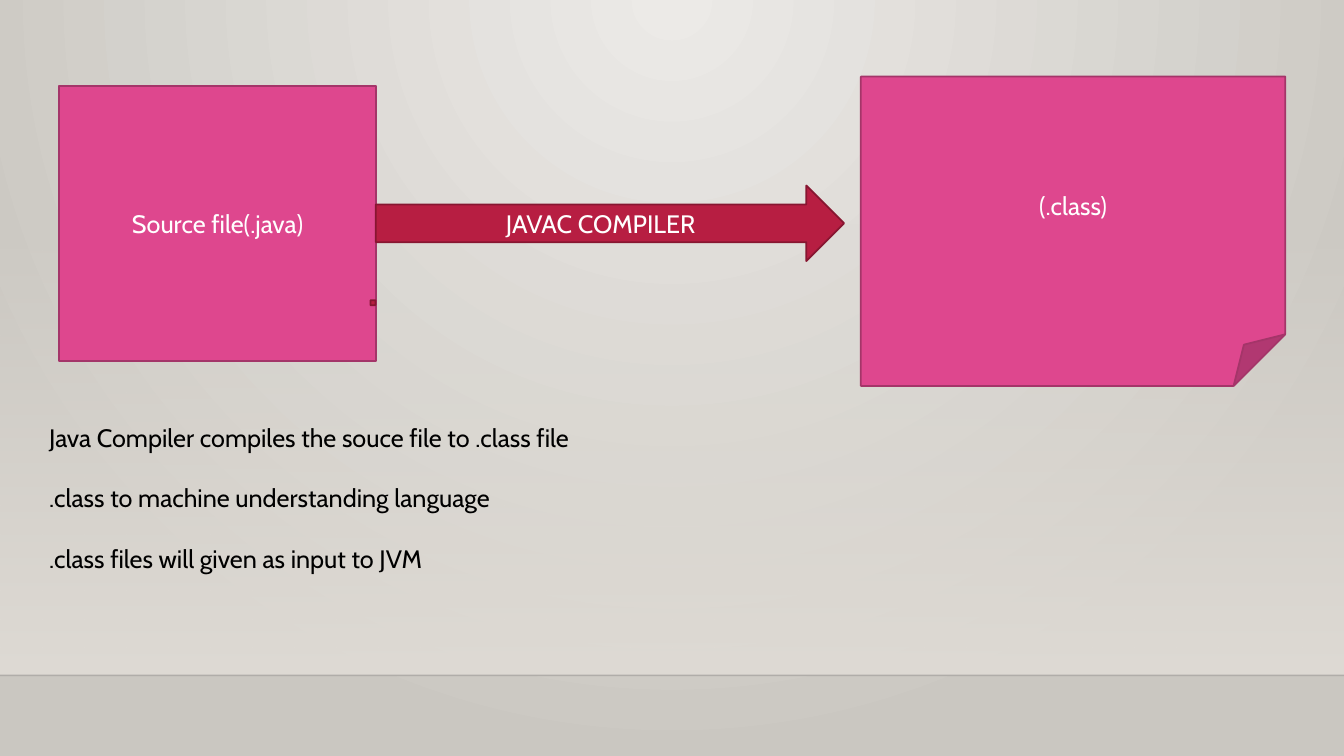
from dataclasses import dataclass

from lxml import etree
from pptx import Presentation
from pptx.dml.color import RGBColor
from pptx.enum.shapes import MSO_CONNECTOR, MSO_SHAPE
from pptx.enum.text import MSO_ANCHOR, MSO_AUTO_SIZE, PP_ALIGN
from pptx.oxml.ns import qn
from pptx.util import Pt

RECTANGLE = MSO_SHAPE.RECTANGLE
FOLDED_CORNER = MSO_SHAPE.FOLDED_CORNER
RIGHT_ARROW = MSO_SHAPE.RIGHT_ARROW
STRAIGHT = MSO_CONNECTOR.STRAIGHT
MIDDLE = MSO_ANCHOR.MIDDLE
GROW = MSO_AUTO_SIZE.SHAPE_TO_FIT_TEXT
CENTER, LEFT = PP_ALIGN.CENTER, PP_ALIGN.LEFT


@dataclass(frozen=True)
class Theme:
    font: str = "Cabin"
    text_size: int = 18
    outline: float = 1.25
    wall_light: str = "ECEAE7"
    wall_dark: str = "CAC7C1"
    haze: str = "DFDBD5"
    floor_line: str = "000001"
    pink: str = "DE478E"
    pink_edge: str = "A43569"
    red: str = "B71E42"
    red_edge: str = "871631"
    white: str = "FFFFFF"
    black: str = "000000"


theme = Theme()
WIDTH, HEIGHT = 960, 540
FLOOR = 482.4


def write(frame, lines, colour, align):
    """Fill a text frame with one paragraph per line, in the theme's type."""
    frame.word_wrap = True
    frame.text = "\n".join(lines)
    for para in frame.paragraphs:
        para.alignment = align
        for span in para.runs:
            span.font.name = theme.font
            span.font.size = Pt(theme.text_size)
            span.font.color.rgb = RGBColor.from_string(colour)


def set_gradient(fill, colours):
    """Give a fill a two-stop gradient running from top to bottom."""
    fill.gradient()
    fill.gradient_angle = 270
    for stop, colour in zip(fill.gradient_stops, colours):
        stop.color.rgb = RGBColor.from_string(colour)


deck = Presentation()
deck.slide_width, deck.slide_height = Pt(WIDTH), Pt(HEIGHT)
page = deck.slides.add_slide(deck.slide_layouts[6])

# Background: a circular glow from the top centre
set_gradient(page.background.fill, (theme.wall_light, theme.wall_dark))
linear = page._element.xpath("./p:cSld/p:bg//a:lin")[0]
glow = etree.Element(qn("a:path"), {"path": "circle"})
etree.SubElement(glow, qn("a:fillToRect"), l="43000", t="0", r="43000", b="100000")
linear.getparent().replace(linear, glow)

# Haze that fades in down to the floor line
haze_top = 159
haze = page.shapes.add_shape(RECTANGLE, 0, Pt(haze_top), Pt(WIDTH), Pt(FLOOR - haze_top))
haze.shadow.inherit = False
haze.line.fill.background()
set_gradient(haze.fill, (theme.haze, theme.haze))
clear_colour = haze._element.xpath(".//a:gs/a:srgbClr")[0]
etree.SubElement(clear_colour, qn("a:alpha"), val="0")

floor = page.shapes.add_connector(STRAIGHT, 0, Pt(FLOOR), Pt(WIDTH), Pt(FLOOR))
floor.line.width = Pt(1)
floor.line.color.rgb = RGBColor.from_string(theme.floor_line)
line_colour = floor._element.xpath(".//a:ln//a:srgbClr")[0]
etree.SubElement(line_colour, qn("a:alpha"), val="20000")
etree.SubElement(floor._element.spPr, qn("a:effectLst"))

# Compilation flow, from back to front
flow = [
    (RECTANGLE, (42, 61.2, 226.8, 196.6), theme.pink, theme.pink_edge, "Source file(.java)"),
    (FOLDED_CORNER, (264.7, 214.5, 3.6, 3.6), theme.red, theme.red_edge, ""),
    (RIGHT_ARROW, (268.5, 132.5, 334.5, 54), theme.red, theme.red_edge, "JAVAC COMPILER"),
    (FOLDED_CORNER, (614.9, 54.7, 303.1, 221), theme.pink, theme.pink_edge, "(.class)"),
]
for kind, bounds, fill, edge, label in flow:
    shape = page.shapes.add_shape(kind, *map(Pt, bounds))
    shape.shadow.inherit = False
    shape.fill.solid()
    shape.fill.fore_color.rgb = RGBColor.from_string(fill)
    shape.line.color.rgb = RGBColor.from_string(edge)
    shape.line.width = Pt(theme.outline)
    if label:
        shape.text_frame.vertical_anchor = MIDDLE
        write(shape.text_frame, [label], theme.white, CENTER)

# Explanation
notes = [
    "Java Compiler compiles the souce file to .class file",
    ".class to machine understanding language",
    ".class files will given as input to JVM",
]
box = page.shapes.add_textbox(Pt(28), Pt(298), Pt(WIDTH), Pt(116.6))
write(box.text_frame, notes, theme.black, LEFT)
box.text_frame.auto_size = GROW
for para in box.text_frame.paragraphs[1:]:
    para.space_before = Pt(21.6)

deck.save("out.pptx")
